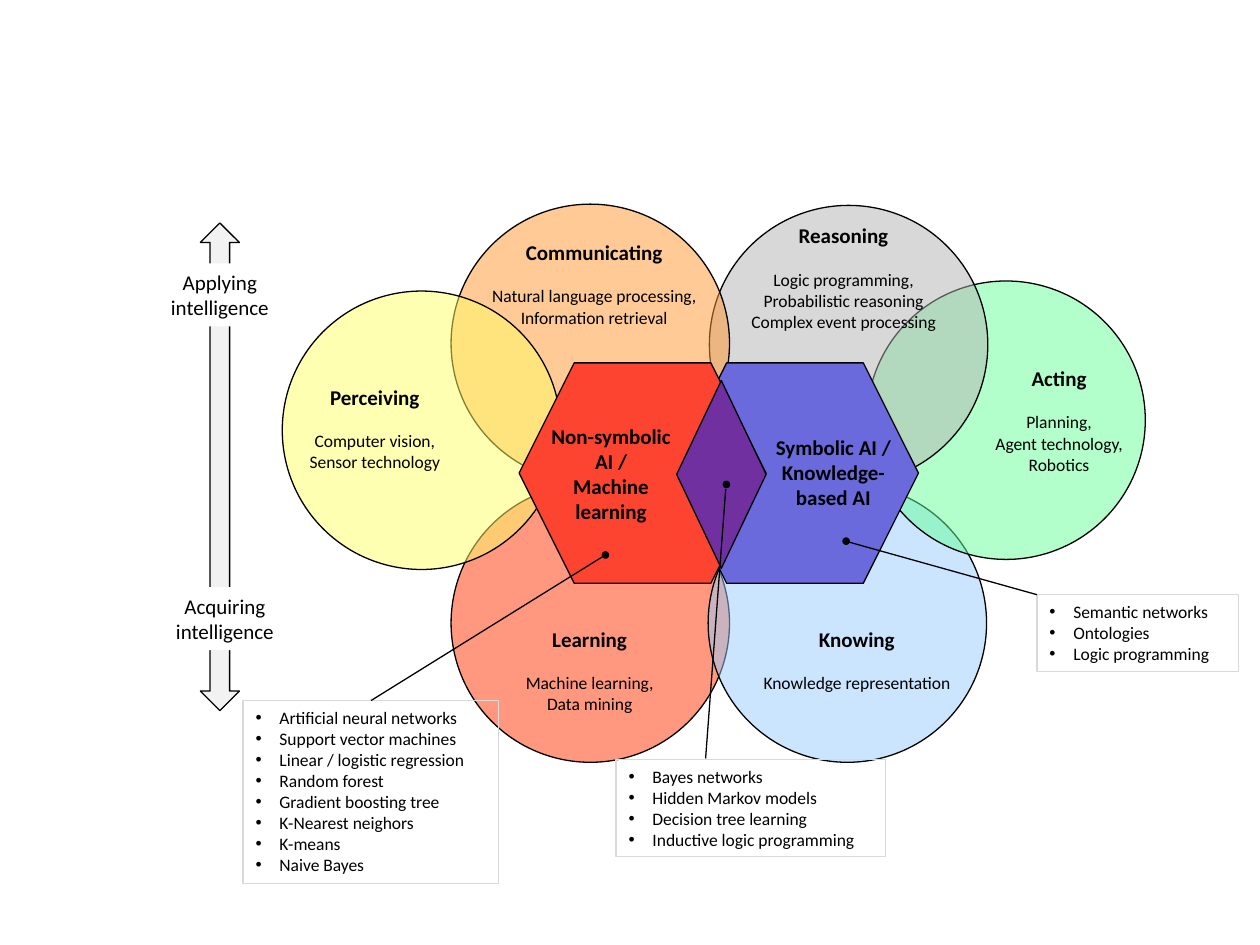
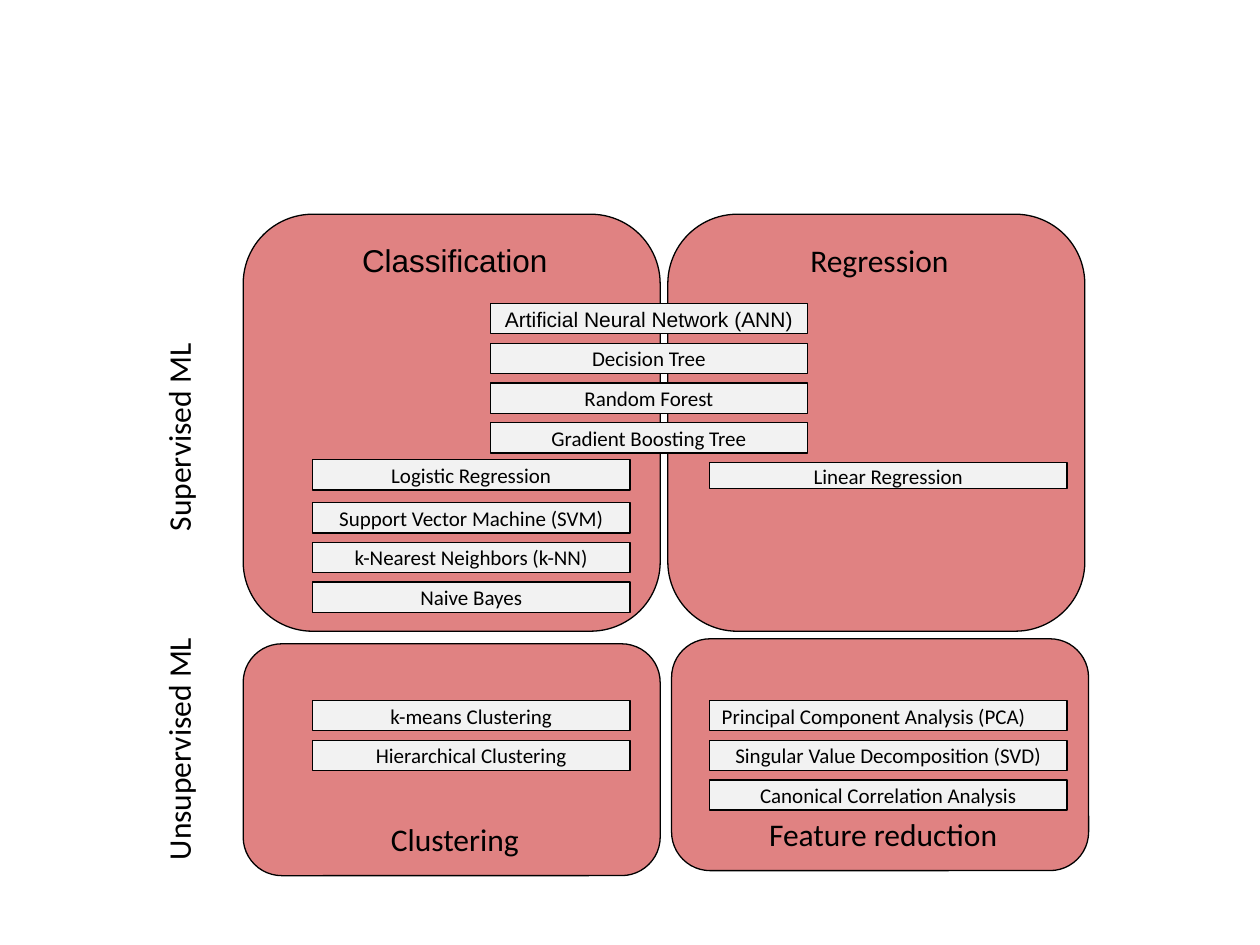
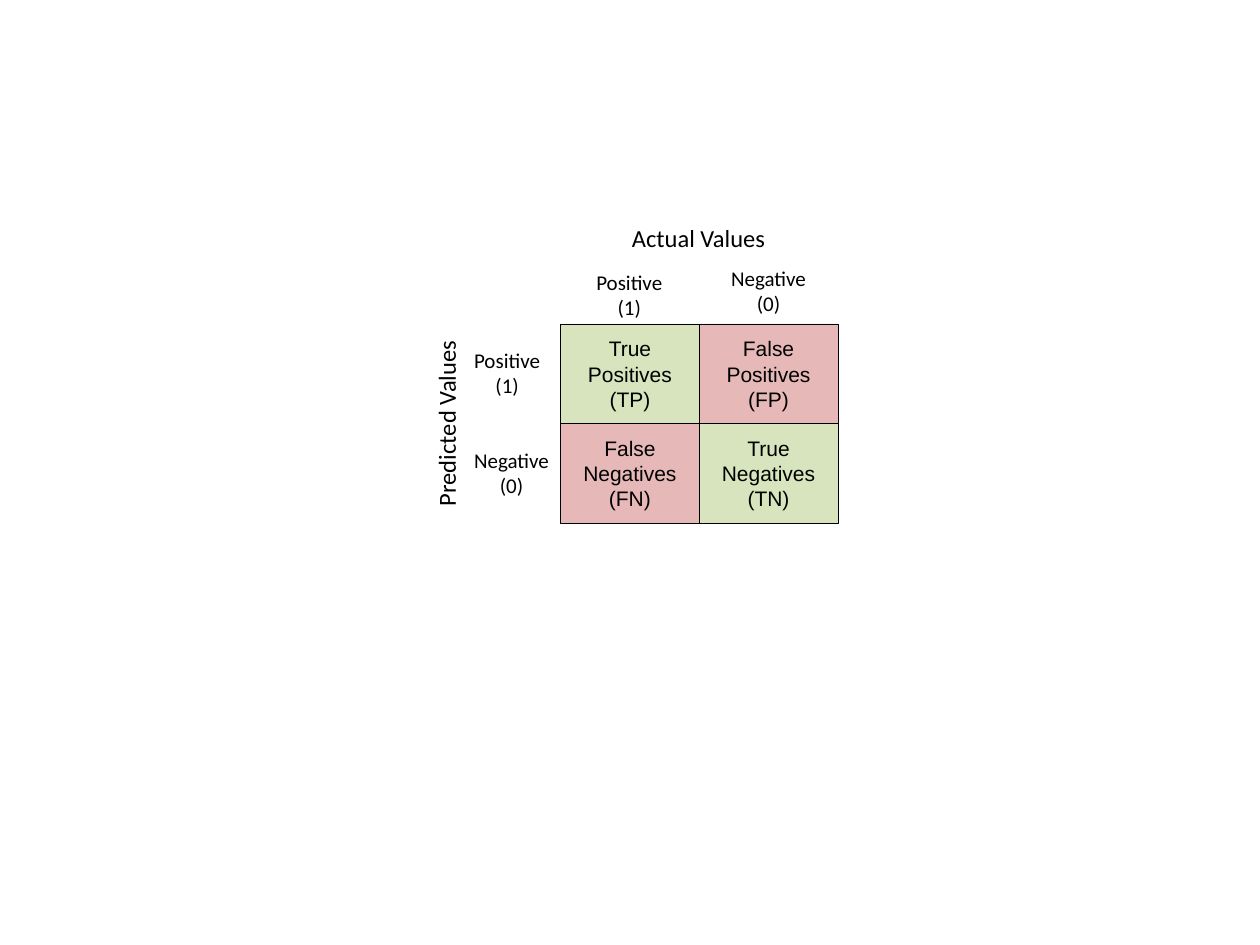
from lxml import etree
from pptx import Presentation
from pptx.dml.color import RGBColor
from pptx.enum.shapes import MSO_CONNECTOR, MSO_SHAPE
from pptx.enum.text import MSO_ANCHOR, PP_ALIGN
from pptx.oxml.ns import qn
from pptx.util import Inches, Pt

RECT = MSO_SHAPE.RECTANGLE
ROUND = MSO_SHAPE.ROUNDED_RECTANGLE
OVAL = MSO_SHAPE.OVAL
HEXAGON = MSO_SHAPE.HEXAGON
DECISION = MSO_SHAPE.FLOWCHART_DECISION
ARROW = MSO_SHAPE.UP_DOWN_ARROW
STRAIGHT = MSO_CONNECTOR.STRAIGHT
LEFT, CENTER = PP_ALIGN.LEFT, PP_ALIGN.CENTER
TOP, MIDDLE, BOTTOM = MSO_ANCHOR.TOP, MSO_ANCHOR.MIDDLE, MSO_ANCHOR.BOTTOM
BLACK, WHITE, PALE, SILVER = "000000", "FFFFFF", "F2F2F2", "D9D9D9"
PANEL, GREEN, PINK = "C00000", "D7E4BD", "E6B9B8"


def draw(s, kind, at, fill=None, line=BLACK, weight=0.75, alpha=None):
    sp = s.shapes.add_shape(kind, *[Inches(v) for v in at])
    sp.shadow.inherit = False
    if fill:
        sp.fill.solid()
        sp.fill.fore_color.rgb = RGBColor.from_string(fill)
        if alpha:
            color = sp.fill._xPr.find(qn("a:solidFill"))[0]
            etree.SubElement(color, qn("a:alpha"), val=str(alpha * 1000))
    else:
        sp.fill.background()
    if line:
        sp.line.color.rgb = RGBColor.from_string(line)
        sp.line.width = Pt(weight)
    else:
        sp.line.fill.background()
    return sp


def write(sp, lines, size, align=CENTER, anchor=TOP, wrap=False, font="Calibri", bold=False):
    tf = sp.text_frame
    tf.text = "\n".join(lines)
    tf.word_wrap = wrap
    tf.vertical_anchor = anchor
    for p in tf.paragraphs:
        p.alignment = align
        for r in p.runs:
            r.font.size = Pt(size)
            r.font.name = font
            r.font.bold = bold
            r.font.color.rgb = RGBColor.from_string(BLACK)
    return tf


prs = Presentation()
prs.slide_width, prs.slide_height = Inches(10), Inches(7.5)
blank = prs.slide_layouts[6]

s = prs.slides.add_slide(blank)
circles = [
    (3.58, 3.84, "FF3300"),
    (5.62, 3.84, "99CCFF"),
    (6.88, 2.23, "66FF99"),
    (5.63, 1.63, "B2B2B2"),
    (3.58, 1.62, "FF962D"),
    (2.24, 2.31, "FFFF66"),
]
for x, y, color in circles:
    draw(s, OVAL, (x, y, 2.21, 2.21), color, alpha=50)
draw(s, HEXAGON, (5.33, 2.88, 1.96, 1.75), "6A6ADC")
draw(s, HEXAGON, (4.12, 2.88, 1.96, 1.75), "FD4431")
draw(s, DECISION, (5.37, 3.02, 0.71, 1.49), "7030A0")

cores = [
    ((4.22, 3.31, 1.26, 0.91), ["Non-symbolic", "AI /", "Machine", "learning"]),
    ((6.03, 3.4, 1.17, 0.71), ["Symbolic AI /", "Knowledge-", "based AI"]),
]
for at, lines in cores:
    write(s.shapes.add_textbox(*[Inches(v) for v in at]), lines, 12, bold=True)

fields = [
    ((5.89, 4.92, 1.82, 0.64), ["Knowing", "Knowledge representation"]),
    ((4.05, 4.92, 1.26, 0.81), ["Learning", "Machine learning,", "Data mining"]),
    ((5.78, 1.72, 1.83, 0.98), ["Reasoning", "Logic programming,", "Probabilistic reasoning",
                                "Complex event processing"]),
    ((3.79, 1.85, 1.85, 0.81), ["Communicating", "Natural language processing,",
                                "Information retrieval"]),
    ((2.31, 3, 1.33, 0.81), ["Perceiving", "Computer vision,", "Sensor technology"]),
    ((7.76, 2.85, 1.29, 0.98), ["Acting", "Planning,", "Agent technology,", "Robotics"]),
]
for at, lines in fields:
    tf = write(s.shapes.add_textbox(*[Inches(v) for v in at]), lines, 10)
    heading = tf.paragraphs[0].runs[0]
    heading.font.size = Pt(12)
    heading.font.bold = True
    tf.paragraphs[1].space_before = Pt(12)

draw(s, ARROW, (1.59, 1.77, 0.31, 3.87), PALE)
for x, y, verb in [(1.22, 2.09, "Applying"), (1.26, 4.66, "Acquiring")]:
    write(draw(s, RECT, (x, y, 1.05, 0.5), WHITE, None), [verb, "intelligence"], 12)

methods = [
    ((8.23, 4.72, 1.6, 0.61), ["Semantic networks", "Ontologies", "Logic programming"]),
    ((4.89, 6.03, 2.14, 0.77), ["Bayes networks", "Hidden Markov models", "Decision tree learning",
                                "Inductive logic programming"]),
    ((1.93, 5.56, 2.03, 1.45), ["Artificial neural networks", "Support vector machines",
                                "Linear / logistic regression", "Random forest",
                                "Gradient boosting tree", "K-Nearest neighors", "K-means",
                                "Naive Bayes"]),
]
for at, lines in methods:
    method_box = draw(s, RECT, at, line=SILVER)
    tf = write(method_box, lines, 10, LEFT, wrap=True)
    for p in tf.paragraphs:
        pPr = p._p.get_or_add_pPr()
        pPr.set("marL", str(Inches(0.19)))
        pPr.set("indent", str(-Inches(0.19)))
        etree.SubElement(pPr, qn("a:buFont"), typeface="Arial")
        etree.SubElement(pPr, qn("a:buChar"), char="•")

for x, y in [(6.69, 4.27), (5.74, 3.82), (4.78, 4.38)]:
    draw(s, OVAL, (x, y, 0.05, 0.05), BLACK)
leaders = [
    (6.73, 4.3, 8.23, 4.72),
    (5.76, 3.88, 5.6, 6.02),
    (4.78, 4.42, 2.95, 5.56),
]
for ends in leaders:
    leader = s.shapes.add_connector(STRAIGHT, *[Inches(v) for v in ends])
    leader.line.color.rgb = RGBColor.from_string(BLACK)
    leader.line.width = Pt(0.75)
    etree.SubElement(leader._element.spPr, qn("a:effectLst"))
leader.end_connect(method_box, 0)

s = prs.slides.add_slide(blank)
panels = [
    (5.3, 1.7, 3.31, "Regression", TOP, "Calibri"),
    (1.93, 5.11, 1.84, "Clustering", BOTTOM, "Calibri"),
    (5.33, 5.07, 1.84, "Feature reduction", BOTTOM, "Calibri"),
    (1.93, 1.7, 3.31, "Classification", TOP, "Arial"),
]
for x, y, h, name, anchor, font in panels:
    sp = draw(s, ROUND, (x, y, 3.31, h), PANEL, alpha=49)
    tf = write(sp, [name], 18, anchor=anchor, wrap=True, font=font)
    tf.margin_left = tf.margin_top = tf.margin_bottom = Inches(0.05)
    tf.margin_right = 0

stacks = [
    (3.89, 2.41, 2.52, 0.24, ["Artificial Neural Network (ANN)", "Decision Tree", "Random Forest",
                              "Gradient Boosting Tree"]),
    (2.48, 3.65, 2.52, 0.24, ["Logistic Regression"]),
    (2.48, 3.99, 2.52, 0.24, ["Support Vector Machine (SVM)", "k-Nearest Neighbors (k-NN)",
                              "Naive Bayes"]),
    (5.63, 3.67, 2.84, 0.21, ["Linear Regression"]),
    (2.48, 5.56, 2.52, 0.24, ["k-means Clustering", "Hierarchical Clustering"]),
    (5.63, 5.56, 2.84, 0.24, ["Principal Component Analysis (PCA)",
                              "Singular Value Decomposition (SVD)",
                              "Canonical Correlation Analysis"]),
]
for x, y, w, h, names in stacks:
    for i, name in enumerate(names):
        sp = draw(s, RECT, (x, y + i * 0.315, w, h), PALE)
        write(sp, [name], 12, LEFT if "PCA" in name else CENTER, MIDDLE, True,
              "Arial" if "ANN" in name else "Calibri")

sp = s.shapes.add_textbox(Inches(-1.21), Inches(4.1), Inches(5.25), Inches(0.4))
sp.rotation = 270
tf = write(sp, ["Unsupervised ML\tSupervised ML"], 18, LEFT, wrap=True)
tabs = etree.SubElement(tf.paragraphs[0]._p.get_or_add_pPr(), qn("a:tabLst"))
etree.SubElement(tabs, qn("a:tab"), pos=str(Inches(2.61)), algn="l")

s = prs.slides.add_slide(blank)
outcomes = [
    [("True Positives (TP)", GREEN), ("False Positives (FP)", PINK)],
    [("False Negatives (FN)", PINK), ("True Negatives (TN)", GREEN)],
]
for i, row in enumerate(outcomes):
    for j, (name, color) in enumerate(row):
        sp = draw(s, RECT, (4.45 + j * 1.1, 2.57 + i * 0.79, 1.1, 0.79), color, weight=0.25)
        write(sp, [name], 12, anchor=MIDDLE, wrap=True, font="Arial")

axis_labels = [
    ((2.78, 3.19, 1.53, 0.34), ["Predicted Values"], 14, 270),
    ((4.91, 1.72, 1.27, 0.34), ["Actual Values"], 14, 0),
    ((3.66, 2.71, 0.73, 0.5), ["Positive", "(1)"], 12, 0),
    ((3.66, 3.5, 0.8, 0.5), ["Negative", "(0)"], 12, 0),
    ((4.63, 2.09, 0.73, 0.5), ["Positive", "(1)"], 12, 0),
    ((5.7, 2.06, 0.8, 0.5), ["Negative", "(0)"], 12, 0),
]
for at, lines, size, angle in axis_labels:
    sp = s.shapes.add_textbox(*[Inches(v) for v in at])
    sp.rotation = angle
    write(sp, lines, size)

prs.save("out.pptx")
